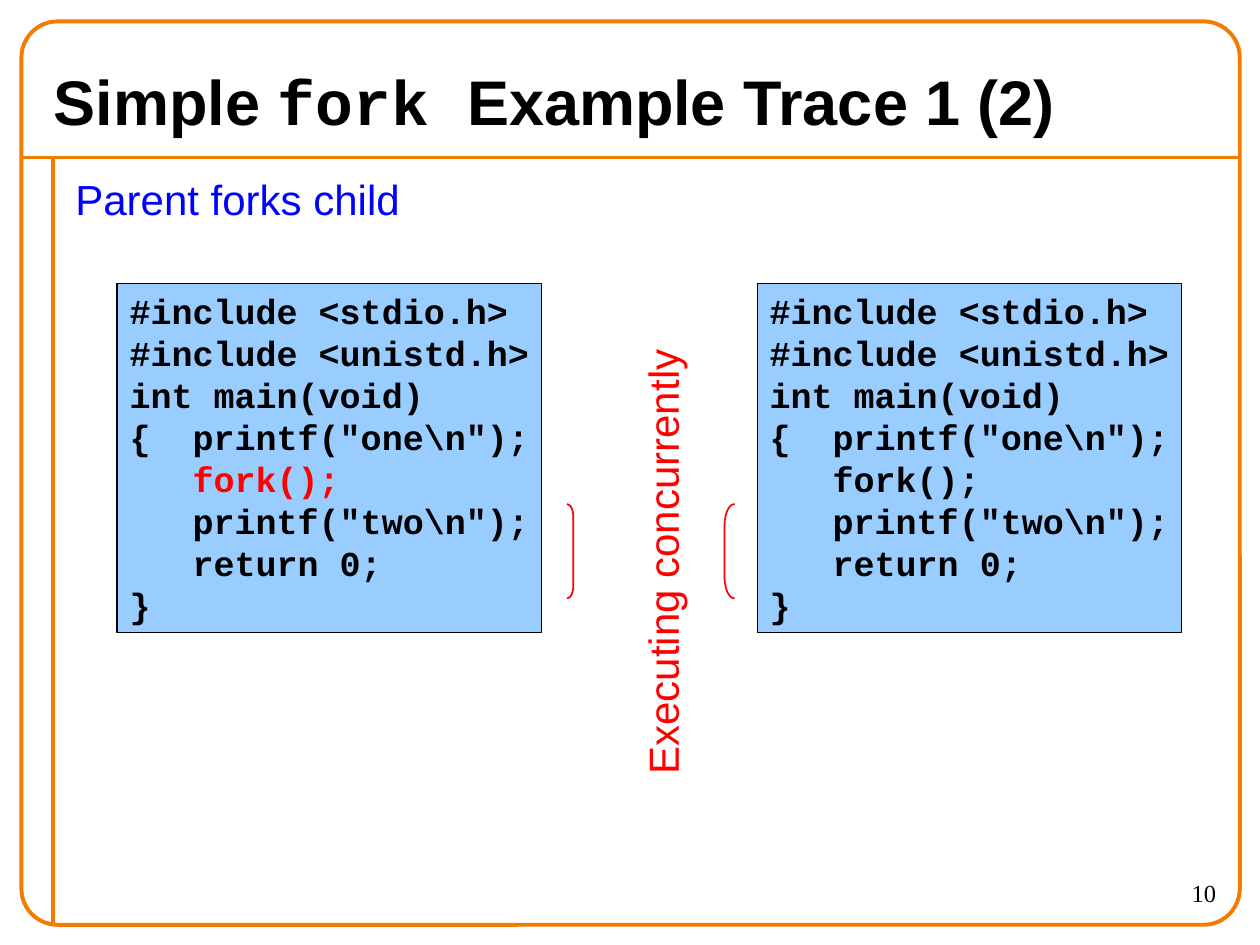
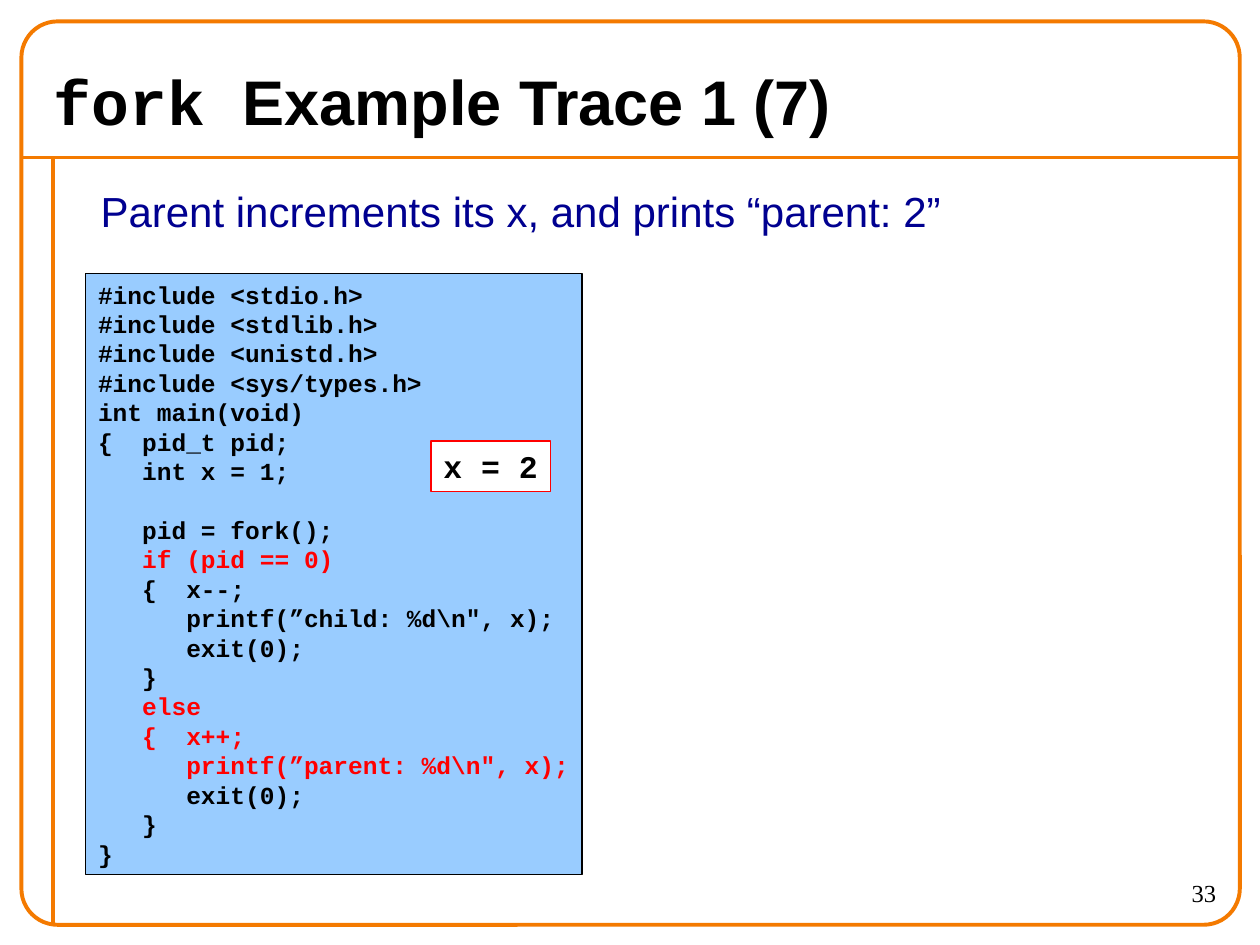
import pptx
import pptx.util
import pptx.dml.color
import pptx.enum.shapes
import pptx.enum.text
import pptx.oxml

Inches, Pt = pptx.util.Inches, pptx.util.Pt
RGB = pptx.dml.color.RGBColor
SHAPE = pptx.enum.shapes.MSO_SHAPE
ALIGN = pptx.enum.text.PP_ALIGN
ANCHOR = pptx.enum.text.MSO_ANCHOR

ORANGE = RGB(0xF4, 0x7A, 0x00)
SKY = RGB(0x99, 0xCC, 0xFF)
WHITE = RGB(0xFF, 0xFF, 0xFF)
BLACK = RGB(0x00, 0x00, 0x00)
RED = RGB(0xFF, 0x00, 0x00)
BLUE = RGB(0x00, 0x00, 0xFF)
NAVY = RGB(0x00, 0x00, 0x90)

SANS = {"name": "Arial", "size": Pt(24)}
MONO = {"name": "Courier New", "bold": True}
HEAD = {"name": "Arial", "size": Pt(36), "bold": True}
FOOT = {"name": "Times New Roman", "size": Pt(14)}

FORK_CODE = r"""#include <stdio.h>
#include <unistd.h>
int main(void)
{  printf("one\n");
   fork();
   printf("two\n");
   return 0;
}"""

PID_CODE = r"""#include <stdio.h>
#include <stdlib.h>
#include <unistd.h>
#include <sys/types.h>
int main(void)
{  pid_t pid;
   int x = 1;

   pid = fork();
   if (pid == 0)
   {  x--;
      printf(”child: %d\n", x);
      exit(0);
   }
   else
   {  x++;
      printf(”parent: %d\n", x);
      exit(0);
   }
}"""
PID_RED = ("if (pid == 0)", "else", "{  x++;", r'printf(”parent: %d\n", x);')


def add_run(para, text, style, color=BLACK):
    run = para.add_run()
    run.text = text
    for key, value in style.items():
        setattr(run.font, key, value)
    run.font.color.rgb = color


def add_label(slide, box, parts, color=BLACK, align=ALIGN.LEFT, anchor=ANCHOR.TOP):
    """One line of text; parts is a list of (text, style) pairs."""
    label = slide.shapes.add_textbox(*map(Inches, box))
    frame = label.text_frame
    frame.word_wrap = True
    frame.vertical_anchor = anchor
    para = frame.paragraphs[0]
    para.alignment = align
    for text, style in parts:
        add_run(para, text, style, color)
    return label


def add_form(slide, kind, box, line, width, fill=None):
    form = slide.shapes.add_shape(kind, *map(Inches, box))
    form.shadow.inherit = False
    form.line.color.rgb = line
    form.line.width = Pt(width)
    if fill is None:
        form.fill.background()
    else:
        form.fill.solid()
        form.fill.fore_color.rgb = fill
    return form


def add_code(slide, box, code, size, marked=(), fill=SKY, edge=BLACK):
    """Listing in a box; the lines in marked are red."""
    frame = add_form(slide, SHAPE.RECTANGLE, box, edge, 0.75, fill).text_frame
    frame.word_wrap = False
    frame.vertical_anchor = ANCHOR.TOP
    for i, text in enumerate(code.split("\n")):
        para = frame.add_paragraph() if i else frame.paragraphs[0]
        para.alignment = ALIGN.LEFT
        para.line_spacing = Pt(1.2 * size)
        color = RED if text.strip() in marked else BLACK
        add_run(para, text, {**MONO, "size": Pt(size)}, color)


def add_rule(slide, *ends):
    rule = slide.shapes.add_connector(
        pptx.enum.shapes.MSO_CONNECTOR.STRAIGHT, *map(Inches, ends))
    rule.line.color.rgb = ORANGE
    rule.line.width = Pt(2.25)
    pr = rule.line._get_or_add_ln().getparent()
    pr.append(pptx.oxml.parse_xml(
        '<a:effectLst xmlns:a="http://schemas.openxmlformats.org/drawingml/2006/main"/>'))


def add_base(deck, title, number):
    """New slide with frame, rules, title and page number."""
    slide = deck.slides.add_slide(deck.slide_layouts[6])
    add_rule(slide, 0.17, 1.25, 9.83, 1.25)
    add_rule(slide, 0.42, 1.25, 0.42, 7.33)
    frame = add_form(slide, SHAPE.ROUNDED_RECTANGLE,
                     (0.17, 0.17, 9.67, 7.17), ORANGE, 2.25)
    frame.adjustments[0] = 0.04
    add_label(slide, (0.33, 0.42, 9.33, 0.75), title, anchor=ANCHOR.MIDDLE)
    add_label(slide, (8.75, 6.92, 1, 0.42), [(str(number), FOOT)], align=ALIGN.RIGHT)
    return slide


def add_fork(deck):
    title = [("Simple ", HEAD), ("fork ", {**HEAD, **MONO}),
             ("Example Trace 1 (2)", HEAD)]
    slide = add_base(deck, title, 10)
    add_label(slide, (0.5, 1.33, 9.25, 0.5), [("Parent forks child", SANS)], BLUE)
    for left, marked in ((0.93, ("fork();",)), (6.01, ())):
        add_code(slide, (left, 2.25, 3.37, 2.77), FORK_CODE, 20, marked)
    for kind, left, width, bend in ((SHAPE.RIGHT_BRACKET, 4.5, 0.05, 0.1),
                                    (SHAPE.LEFT_BRACKET, 5.75, 0.08, 0.17)):
        mark = add_form(slide, kind, (left, 4, width, 0.75), RED, 1)
        mark.adjustments[0] = bend / width
    label = add_label(slide, (3.38, 4.12, 3.75, 0.5),
                      [("Executing concurrently", SANS)], RED)
    label.rotation = 270


def add_pid(deck):
    title = [("fork ", {**HEAD, **MONO}), ("Example Trace 1 (7)", HEAD)]
    slide = add_base(deck, title, 33)
    add_label(slide, (0.7, 1.42, 7.2, 0.5),
              [("Parent increments its x, and prints “parent: 2”", SANS)], NAVY)
    add_code(slide, (0.68, 2.17, 3.94, 4.77), PID_CODE, 14, PID_RED)
    add_code(slide, (3.42, 3.5, 0.95, 0.4), "x = 2", 18, fill=WHITE, edge=RED)


def main():
    deck = pptx.Presentation()
    deck.slide_width, deck.slide_height = Inches(10), Inches(7.5)
    add_fork(deck)
    add_pid(deck)
    deck.save("out.pptx")


if __name__ == "__main__":
    main()
